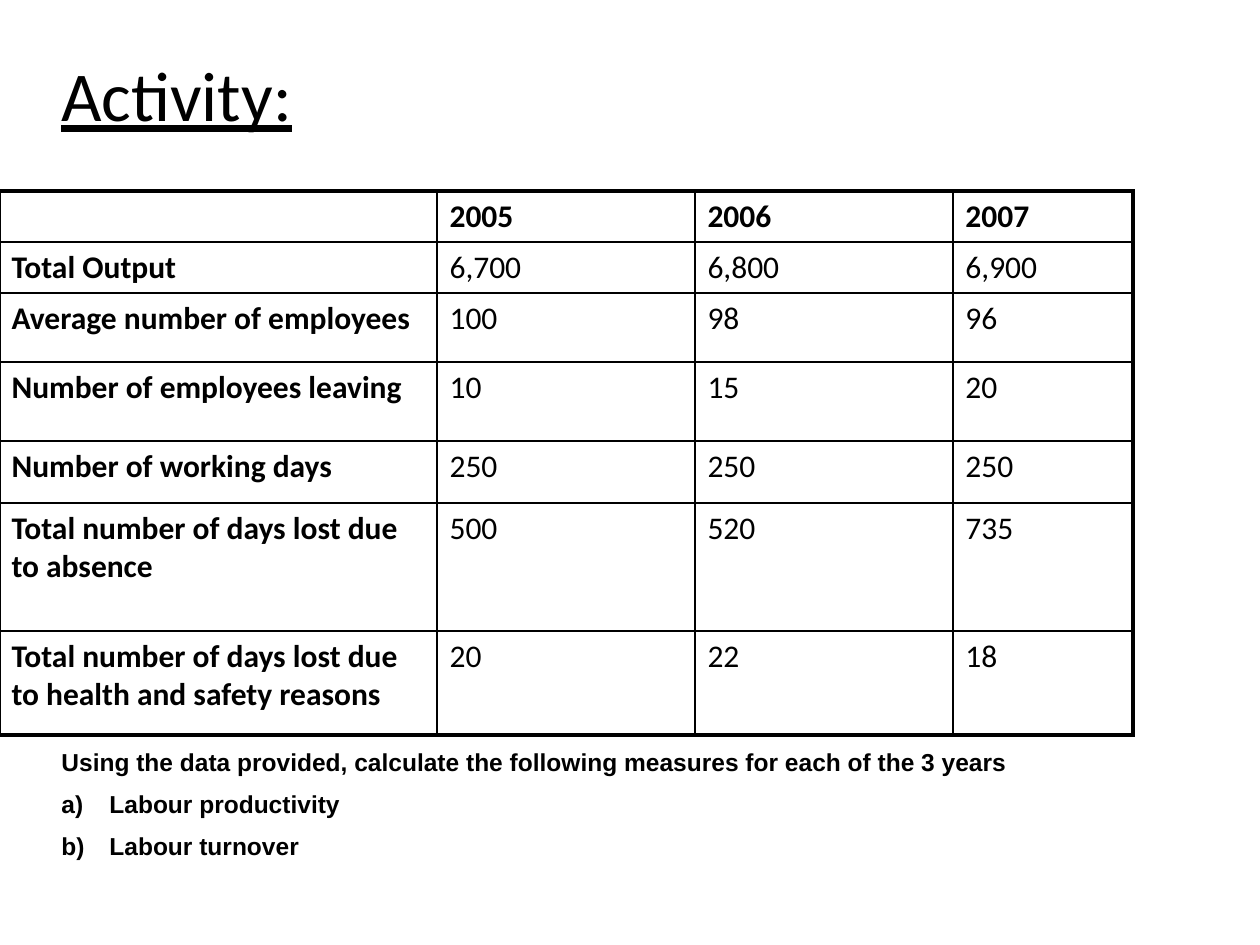
from dataclasses import dataclass

from lxml import etree
from pptx import Presentation
from pptx.dml.color import RGBColor
from pptx.oxml.ns import qn
from pptx.util import Emu, Pt

PX = 914400 // 126


@dataclass(frozen=True)
class Theme:
    """Colours, fonts and type sizes of the slide."""
    ink: str = "000000"
    heading_font: str = "Calibri"
    body_font: str = "Arial"
    title_size: int = 40
    table_size: int = 18
    task_size: int = 14
    frame_line: float = 2.25
    grid_line: float = 1


THEME = Theme()
COLUMN_WIDTHS = (438, 258, 258, 180)
ROW_HEIGHTS = (51, 51, 69, 79, 62, 128, 104)
ROWS = (
    ("", "2005", "2006", "2007"),
    ("Total Output", "6,700", "6,800", "6,900"),
    ("Average number of employees", "100", "98", "96"),
    ("Number of employees leaving", "10", "15", "20"),
    ("Number of working days", "250", "250", "250"),
    ("Total number of days lost due to absence", "500", "520", "735"),
    ("Total number of days lost due to health and safety reasons", "20", "22", "18"),
)
INSTRUCTION = "Using the data provided, calculate the following measures for each of the 3 years"
MEASURES = ("Labour productivity", "Labour turnover")


def px(*lengths):
    """Turn pixel lengths into EMU."""
    return [Emu(length * PX) for length in lengths]


def write(paragraph, text, *, font, size, bold=False, underline=False, before=0):
    """Put formatted text into a paragraph."""
    paragraph.space_before = Pt(before)
    run = paragraph.add_run()
    run.text = text
    run.font.name = font
    run.font.size = Pt(size)
    run.font.bold = bold
    run.font.underline = underline
    run.font.color.rgb = RGBColor.from_string(THEME.ink)


def add_text_frame(slide, box):
    """Add a wrapping text box and return its text frame."""
    frame = slide.shapes.add_textbox(*px(*box)).text_frame
    frame.word_wrap = True
    return frame


def number_paragraph(paragraph, hanging):
    """Give a paragraph a hanging letter such as a)."""
    properties = paragraph._p.get_or_add_pPr()
    properties.set("marL", str(hanging * PX))
    properties.set("indent", str(-hanging * PX))
    etree.SubElement(properties, qn("a:buFont"), typeface="+mj-lt")
    etree.SubElement(properties, qn("a:buAutoNum"), type="alphaLcParenR")


def set_borders(cell, widths):
    """Draw the four borders of a cell, with widths in points by side."""
    properties = cell._tc.get_or_add_tcPr()
    for index, (side, width) in enumerate(widths.items()):
        line = etree.Element(qn(f"a:ln{side}"), w=str(Pt(width)))
        fill = etree.SubElement(line, qn("a:solidFill"))
        etree.SubElement(fill, qn("a:srgbClr"), val=THEME.ink)
        properties.insert(index, line)


def add_title(slide, box):
    """Add the underlined heading."""
    write(add_text_frame(slide, box).paragraphs[0], "Activity:",
          font=THEME.heading_font, size=THEME.title_size, underline=True)


def add_data_table(slide, left, top):
    """Add the table of yearly staff figures."""
    box = (left, top, sum(COLUMN_WIDTHS), sum(ROW_HEIGHTS))
    table = slide.shapes.add_table(len(ROWS), len(COLUMN_WIDTHS), *px(*box)).table
    table.horz_banding = False
    for column, width in zip(table.columns, px(*COLUMN_WIDTHS)):
        column.width = width
    for row, height in zip(table.rows, px(*ROW_HEIGHTS)):
        row.height = height
    last_row, last_column = len(ROWS) - 1, len(COLUMN_WIDTHS) - 1
    for row, values in enumerate(ROWS):
        for column, value in enumerate(values):
            cell = table.cell(row, column)
            cell.fill.background()
            write(cell.text_frame.paragraphs[0], value, font=THEME.heading_font,
                  size=THEME.table_size, bold=row == 0 or column == 0)
            outer = {"L": column == 0, "R": column == last_column,
                     "T": row == 0, "B": row == last_row}
            set_borders(cell, {side: THEME.frame_line if edge else THEME.grid_line
                               for side, edge in outer.items()})


def add_task(slide, box):
    """Add the instruction and its lettered measures."""
    frame = add_text_frame(slide, box)
    style = {"font": THEME.body_font, "size": THEME.task_size, "bold": True}
    write(frame.paragraphs[0], INSTRUCTION, **style)
    for measure in MEASURES:
        paragraph = frame.add_paragraph()
        write(paragraph, measure, before=THEME.task_size / 2, **style)
        number_paragraph(paragraph, 48)


def main():
    """Build and save the activity slide."""
    presentation = Presentation()
    presentation.slide_width, presentation.slide_height = px(1260, 945)
    slide = presentation.slides.add_slide(presentation.slide_layouts[6])
    add_data_table(slide, -1, 191)
    add_task(slide, (49, 741, 1142, 131))
    add_title(slide, (49, 45, 814, 97))
    presentation.save("out.pptx")


if __name__ == "__main__":
    main()
